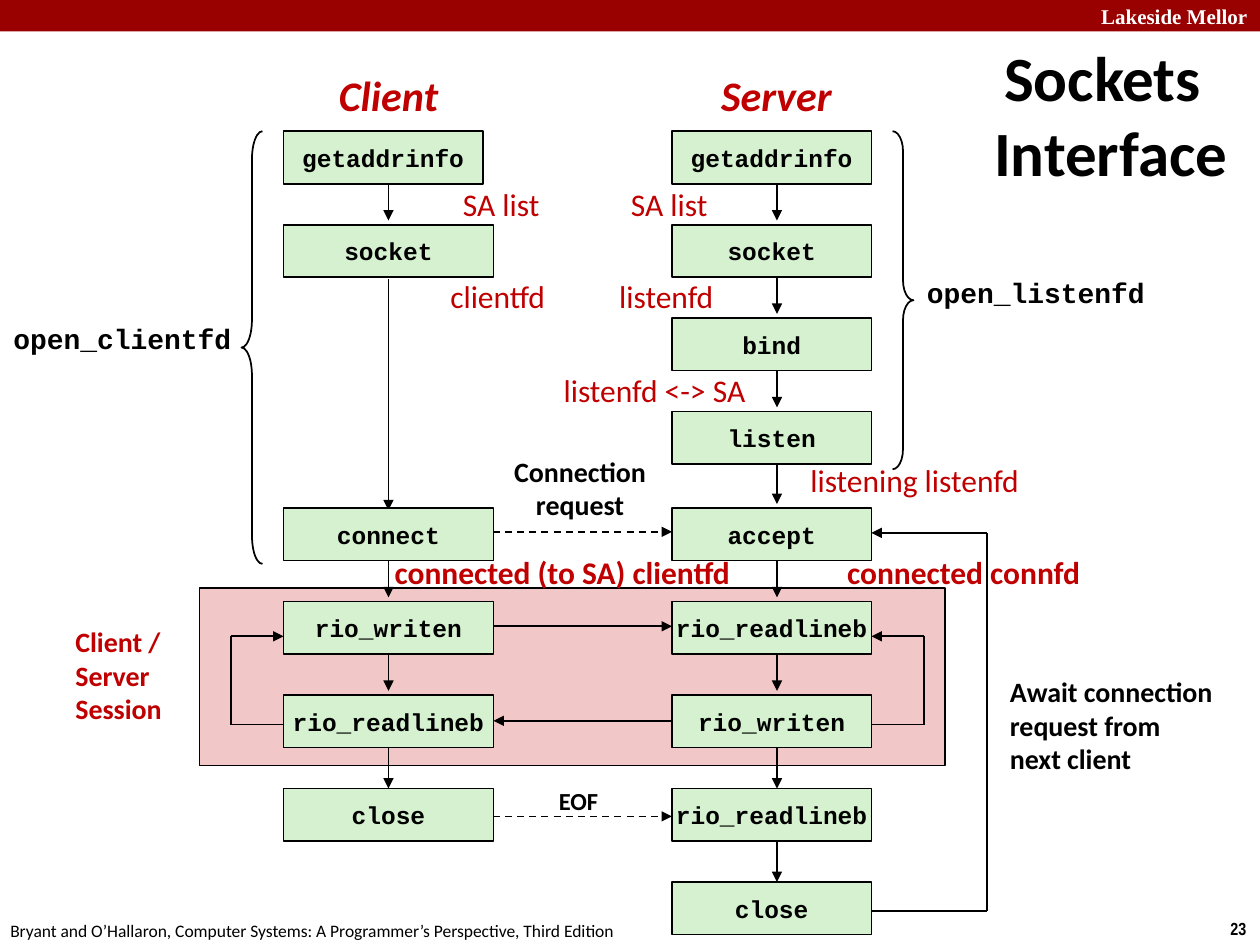
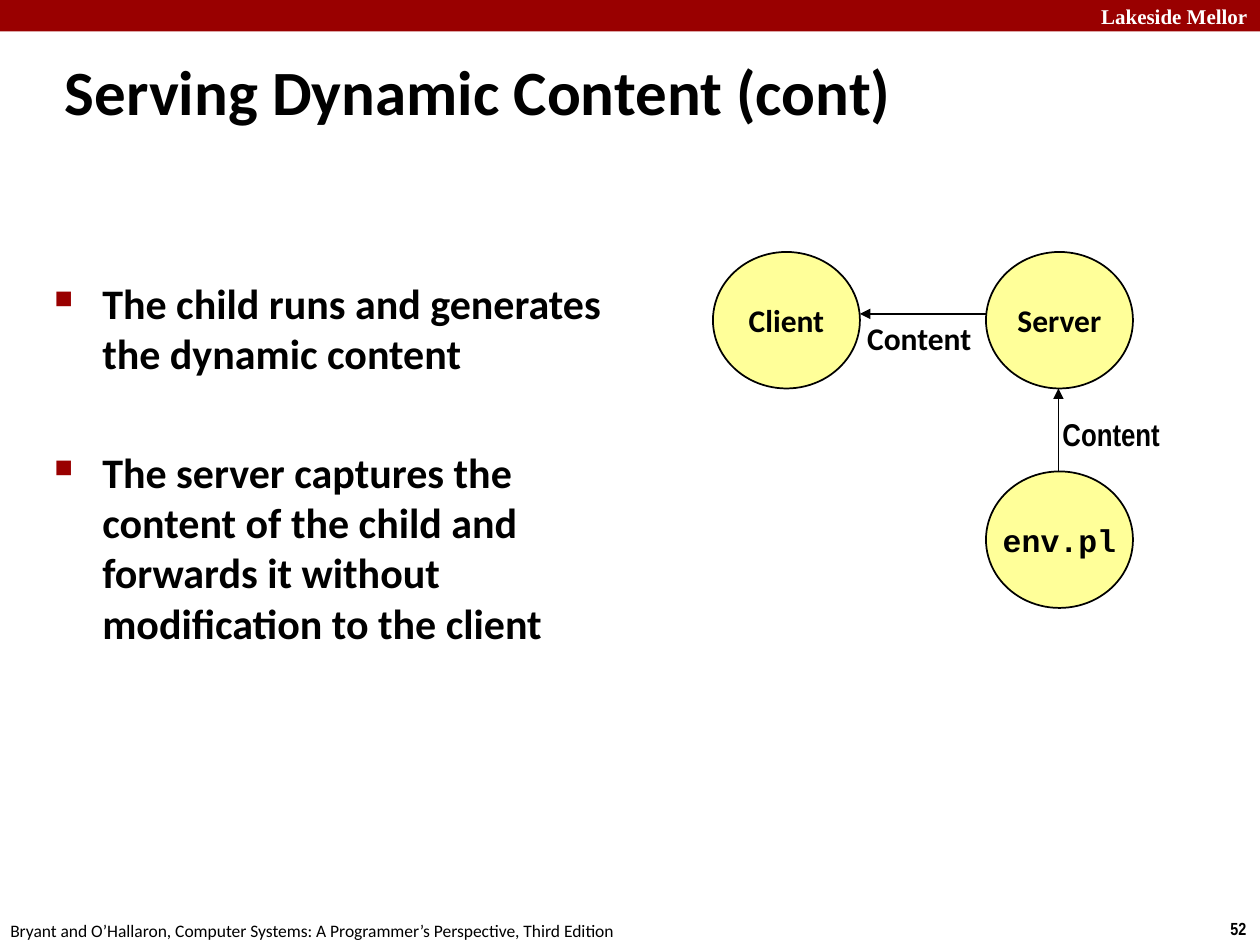
"""Build two lecture slides: the sockets interface and serving dynamic content."""
from lxml import etree
from pptx import Presentation
from pptx import util as u
from pptx.dml import color
from pptx.enum import dml, shapes, text
from pptx.oxml import ns

BLACK, WHITE, RED, BAND = "000000", "FFFFFF", "C00000", "990000"
GREEN, PINK, YELLOW = "D5F1CF", "F1C7C7", "FFFF99"
SANS, MONO, NARROW, SERIF = "Calibri", "Courier New", "Arial Narrow", "Times New Roman"
LEFT, CENTER, RIGHT = text.PP_ALIGN.LEFT, text.PP_ALIGN.CENTER, text.PP_ALIGN.RIGHT
TOP, MIDDLE = text.MSO_ANCHOR.TOP, text.MSO_ANCHOR.MIDDLE
RECTANGLE, OVAL = shapes.MSO_SHAPE.RECTANGLE, shapes.MSO_SHAPE.OVAL

presentation = Presentation()
presentation.slide_width, presentation.slide_height = u.Inches(10), u.Inches(7.5)
COLUMNS = 120
CELL = presentation.slide_width / COLUMNS


def add_box(slide, area, words="", kind=None, fill=None, line=None, size=18, font=SANS,
            ink=BLACK, bold=True, italic=False, align=CENTER, anchor=MIDDLE, wrap=False):
    """Add a text box, or a preset shape when kind is given, on the grid."""
    place = [round(cells * CELL) for cells in area]
    if kind is None:
        shape = slide.shapes.add_textbox(*place)
    else:
        shape = slide.shapes.add_shape(kind, *place)
        shape.shadow.inherit = False
        shape.fill.background()
        shape.line.fill.background()
    if fill:
        shape.fill.solid()
        shape.fill.fore_color.rgb = color.RGBColor.from_string(fill)
    if line:
        shape.line.color.rgb = color.RGBColor.from_string(line)
        shape.line.width = u.Pt(1)
    frame = shape.text_frame
    frame.text = words
    frame.word_wrap = wrap
    frame.vertical_anchor = anchor
    for paragraph in frame.paragraphs:
        paragraph.alignment = align
        for run in paragraph.runs:
            run.font.size, run.font.name = u.Pt(size), font
            run.font.bold, run.font.italic = bold, italic
            run.font.color.rgb = color.RGBColor.from_string(ink)
    return shape


def add_path(slide, points, head=True, dashed=False):
    """Join grid points with straight lines, the last one with an arrowhead."""
    for start, end in zip(points, points[1:]):
        ends = [round(cells * CELL) for cells in (*start, *end)]
        connector = slide.shapes.add_connector(shapes.MSO_CONNECTOR.STRAIGHT, *ends)
        connector.line.color.rgb = color.RGBColor.from_string(BLACK)
        connector.line.width = u.Pt(1)
        if dashed:
            connector.line.dash_style = dml.MSO_LINE.DASH
        properties = connector.element.spPr
        if head and end == points[-1]:
            outline = properties.find(ns.qn("a:ln"))
            etree.SubElement(outline, ns.qn("a:tailEnd"), type="triangle")
        etree.SubElement(properties, ns.qn("a:effectLst"))


slides = []
for number, title, area, align, anchor in [
    ("23", "Sockets Interface", (91, 3, 28, 15.7), CENTER, MIDDLE),
    ("52", "Serving Dynamic Content (cont)", (5, 4.4, 108, 7.6), LEFT, TOP),
]:
    slide = presentation.slides.add_slide(presentation.slide_layouts[6])
    slides.append(slide)
    add_box(slide, (0, 0, COLUMNS, 3), kind=RECTANGLE, fill=BAND)
    add_box(slide, (103.2, 0, 16.8, 3), "Lakeside Mellor", size=12, font=SERIF, ink=WHITE,
            align=RIGHT)
    add_box(slide, (116, 86.8, 4, 3.2), number, size=10, font=NARROW, align=LEFT, anchor=TOP)
    add_box(slide, (-0.2, 87, 61, 3),
            "Bryant and O’Hallaron, Computer Systems: A Programmer’s Perspective, Third Edition",
            size=10, bold=False, align=LEFT, anchor=TOP)
    heading = add_box(slide, area, title, size=36, align=align, anchor=anchor, wrap=True)
    indent = heading.text_frame.paragraphs[0]._p.get_or_add_pPr()
    indent.set("marL", str(u.Inches(0.13)))
    indent.set("indent", str(-u.Inches(0.13)))
sockets, dynamic = slides

CLIENT, SERVER = 27, 64
CLIENT_WIDTH, SERVER_WIDTH, CALL_HEIGHT = 20, 19, 5
CLIENT_RIGHT, SERVER_RIGHT = CLIENT + CLIENT_WIDTH, SERVER + SERVER_WIDTH
CLIENT_FLOW, SERVER_FLOW = 37, 74
rows = [12.5 + 8.9 * row + (0.3 if row > 3 else 0) for row in range(9)]
client_calls = {0: "getaddrinfo", 1: "socket", 4: "connect", 5: "rio_writen",
                6: "rio_readlineb", 7: "close"}
server_calls = dict(enumerate(["getaddrinfo", "socket", "bind", "listen", "accept",
                               "rio_readlineb", "rio_writen", "rio_readlineb", "close"]))

add_box(sockets, (19, 56, 71, 16.9), kind=RECTANGLE, fill=PINK, line=BLACK)
for edge, turn in [(SERVER_RIGHT, 88), (CLIENT, 22)]:
    add_path(sockets, [(edge, 69), (turn, 69), (turn, 60.6), (edge, 60.6)])
add_path(sockets, [(SERVER_RIGHT, 86.75), (94, 86.75), (94, 50.75), (SERVER_RIGHT, 50.75)])
add_path(sockets, [(CLIENT_FLOW, 26.6), (CLIENT_FLOW, 48.6)])
for flow, steps in [(CLIENT_FLOW, (0, 4, 5, 6)), (SERVER_FLOW, range(8))]:
    for row in steps:
        gap = 0.4 if row < 6 else 0
        add_path(sockets, [(flow, rows[row] + 4.5), (flow, rows[row + 1] - gap)])
for level in (50.65, 77.75):
    add_path(sockets, [(40, level), (SERVER, level)], dashed=True)
add_path(sockets, [(CLIENT_RIGHT, 59.65), (SERVER, 59.65)])
add_path(sockets, [(SERVER, 68.65), (CLIENT_RIGHT, 68.65)])

for left, width, calls in [(CLIENT, CLIENT_WIDTH, client_calls),
                           (SERVER, SERVER_WIDTH, server_calls)]:
    for row, call in calls.items():
        call_width = SERVER_WIDTH if row == 0 else width
        add_box(sockets, (left, rows[row], call_width, CALL_HEIGHT), call, RECTANGLE,
                GREEN, BLACK, size=14, font=MONO)

for name, left, width in [("Client", 31, 12), ("Server", 67.4, 13.1)]:
    add_box(sockets, (left, 6, width, 6), name, size=24, ink=RED, italic=True)
for kind, left, height, bend in [(shapes.MSO_SHAPE.RIGHT_BRACE, 85, 32.2, 0.96),
                                 (shapes.MSO_SHAPE.LEFT_BRACE, 23, 41.2, 1.33)]:
    brace = add_box(sockets, (left, rows[0], 2, height), kind=kind, line=BLACK)
    brace.adjustments[0] = bend
for name, left, top in [("open_listenfd", 87, 25.6), ("open_clientfd", 0, 30)]:
    add_box(sockets, (left, top, 23.3, 4.4), name, size=16, font=MONO)

for words, area, size, ink, align in [
    ("Client /\nServer\nSession", (6, 59.3, 11, 10), 16, RED, LEFT),
    ("Connection\nrequest", (47.7, 42.6, 15.1, 7.7), 16, BLACK, CENTER),
    ("EOF", (52, 74.2, 6.2, 4.1), 14, BLACK, CENTER),
    ("Await connection\nrequest from\nnext client", (95, 63.6, 22, 10.9), 16, BLACK, LEFT),
]:
    add_box(sockets, area, words, size=size, ink=ink, align=align)

for words, left, top, width, bold in [
    ("SA list", 42.9, 17, 9.7, False),
    ("SA list", 58.9, 17, 9.7, False),
    ("clientfd", 41.7, 25.8, 11.6, False),
    ("listenfd", 57.8, 25.8, 11.5, False),
    ("listenfd <-> SA", 52.5, 34.7, 19.9, False),
    ("listening listenfd", 76, 43.3, 22.6, False),
    ("connected (to SA) clientfd", 36.4, 52.1, 34.9, True),
    ("connected connfd", 79.5, 52.1, 25, True),
]:
    add_box(sockets, (left, top, width, 4.8), words, ink=RED, bold=bold, align=LEFT, anchor=TOP)

body = add_box(dynamic, (4, 25.8, 56.3, 58.4),
               "The child runs and generates the dynamic content\n"
               "The server captures the content of the child and forwards it "
               "without modification to the client",
               size=24, align=LEFT, anchor=TOP, wrap=True)
body.text_frame.paragraphs[1].space_before = u.Pt(39)
for paragraph in body.text_frame.paragraphs:
    bullet = paragraph._p.get_or_add_pPr()
    bullet.set("marL", str(u.Inches(0.38)))
    bullet.set("indent", str(-u.Inches(0.38)))
    tint = etree.SubElement(bullet, ns.qn("a:buClr"))
    etree.SubElement(tint, ns.qn("a:srgbClr"), val=BAND)
    etree.SubElement(bullet, ns.qn("a:buSzPct"), val="60000")
    etree.SubElement(bullet, ns.qn("a:buChar"), char="■")

for name, left, top, font in [("Client", 67.9, 24, SANS), ("Server", 93.9, 24, SANS),
                              ("env.pl", 93.9, 44.9, MONO)]:
    add_box(dynamic, (left, top, 14, 13), name, OVAL, YELLOW, BLACK, font=font)
add_path(dynamic, [(100.8, 44.9), (100.8, 37)])
add_path(dynamic, [(93.9, 29.9), (81.9, 29.9)])
add_box(dynamic, (100, 38.9, 11.7, 4.8), "Content", font=NARROW, align=LEFT)
add_box(dynamic, (81.4, 29.8, 12.4, 4.8), "Content", align=LEFT)

presentation.save("out.pptx")
